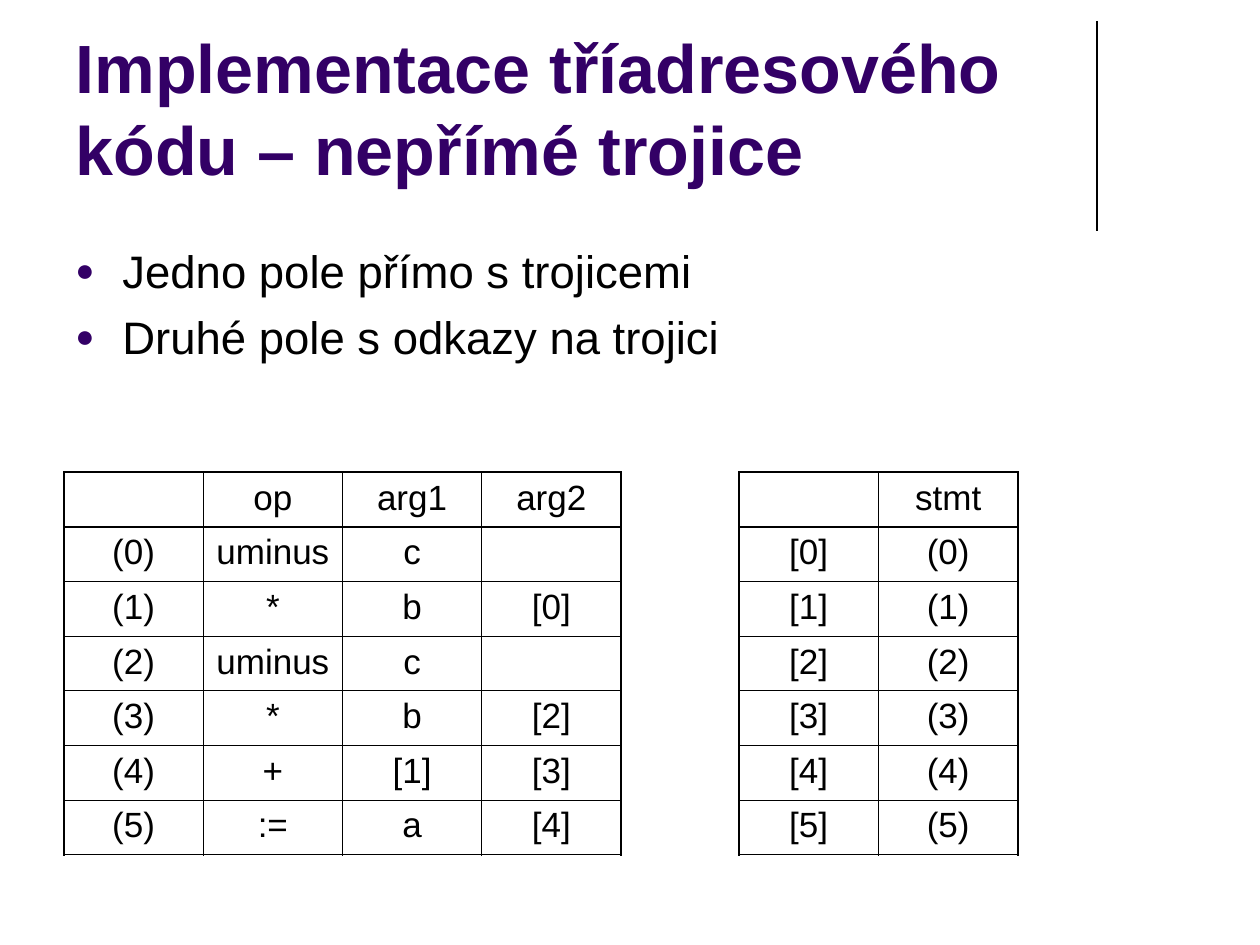
"""Build a slide on indirect triples as an implementation of three-address code."""
import pptx
import pptx.dml.color
import pptx.enum.shapes
import pptx.enum.text
import pptx.oxml.ns
import pptx.util
from lxml import etree

PURPLE = pptx.dml.color.RGBColor(0x33, 0x00, 0x66)
BLACK = pptx.dml.color.RGBColor(0x00, 0x00, 0x00)
FONT = "Arial"
THICK, THIN = 1.08, 0.45
qn = pptx.oxml.ns.qn


def px(length):
    return pptx.util.Emu(round(length * 914400 / 126))


def add_span(para, text, size, color, bold=False):
    span = para.add_run()
    span.text = text
    span.font.name = FONT
    span.font.size = pptx.util.Pt(size)
    span.font.bold = bold
    span.font.color.rgb = color


deck = pptx.Presentation()
deck.slide_width, deck.slide_height = px(1260), px(945)
page = deck.slides.add_slide(deck.slide_layouts[5])

divider = page.shapes.add_connector(
    pptx.enum.shapes.MSO_CONNECTOR.STRAIGHT, px(1097), px(21), px(1097), px(231))
divider.line.color.rgb = BLACK
divider.line.width = pptx.util.Pt(0.75)
etree.SubElement(divider.element.spPr, qn("a:effectLst"))

title = page.shapes.title
title.left, title.top, title.width, title.height = px(63), px(16), px(1040), px(179)
title.text_frame.word_wrap = True
title.text_frame.auto_size = pptx.enum.text.MSO_AUTO_SIZE.NONE
title.text_frame.vertical_anchor = pptx.enum.text.MSO_ANCHOR.BOTTOM
para = title.text_frame.paragraphs[0]
para.alignment = pptx.enum.text.PP_ALIGN.LEFT
add_span(para, "Implementace tříadresového kódu – nepřímé trojice", 39, PURPLE, True)

box = page.shapes.add_textbox(px(63), px(237), px(1113), px(166))
box.text_frame.word_wrap = True
points = ["Jedno pole přímo s trojicemi", "Druhé pole s odkazy na trojici"]
for index, point in enumerate(points):
    para = box.text_frame.add_paragraph() if index else box.text_frame.paragraphs[0]
    para.space_before = pptx.util.Pt(6.5)
    add_span(para, point, 26, BLACK)
    properties = para._p.get_or_add_pPr()
    properties.set("marL", str(px(47)))
    properties.set("indent", str(-px(47)))
    bullet_color = etree.SubElement(properties, qn("a:buClr"))
    etree.SubElement(bullet_color, qn("a:srgbClr"), val=str(PURPLE))
    etree.SubElement(properties, qn("a:buSzPct"), val="70000")
    etree.SubElement(properties, qn("a:buFont"), typeface=FONT)
    etree.SubElement(properties, qn("a:buChar"), char="●")

triples = [
    ["", "op", "arg1", "arg2"],
    ["(0)", "uminus", "c", ""],
    ["(1)", "*", "b", "[0]"],
    ["(2)", "uminus", "c", ""],
    ["(3)", "*", "b", "[2]"],
    ["(4)", "+", "[1]", "[3]"],
    ["(5)", ":=", "a", "[4]"],
]
statements = [["", "stmt"]] + [[f"[{number}]", f"({number})"] for number in range(6)]

for left, width, rows in [(64, 557, triples), (739, 279, statements)]:
    row_count, column_count = len(rows), len(rows[0])
    frame = page.shapes.add_table(
        row_count, column_count, px(left), px(472), px(width), px(382))
    table = frame.table
    table.first_row = table.horz_banding = False
    for row_index, row in enumerate(rows):
        for column_index, text in enumerate(row):
            cell = table.cell(row_index, column_index)
            cell.margin_left = cell.margin_right = pptx.util.Inches(0.1)
            cell.margin_top = cell.margin_bottom = pptx.util.Inches(0.05)
            para = cell.text_frame.paragraphs[0]
            para.alignment = pptx.enum.text.PP_ALIGN.CENTER
            para.space_before = pptx.util.Pt(5)
            if text:
                add_span(para, text, 20, BLACK)
            thick_sides = {
                "a:lnL": column_index == 0,
                "a:lnR": column_index == column_count - 1,
                "a:lnT": row_index in (0, 1),
                "a:lnB": row_index in (0, row_count - 1),
            }
            for side, thick in thick_sides.items():
                weight = pptx.util.Pt(THICK if thick else THIN)
                border = etree.SubElement(
                    cell._tc.get_or_add_tcPr(), qn(side), w=str(weight))
                border_fill = etree.SubElement(border, qn("a:solidFill"))
                etree.SubElement(border_fill, qn("a:srgbClr"), val=str(BLACK))
            cell.fill.background()

deck.save("out.pptx")
